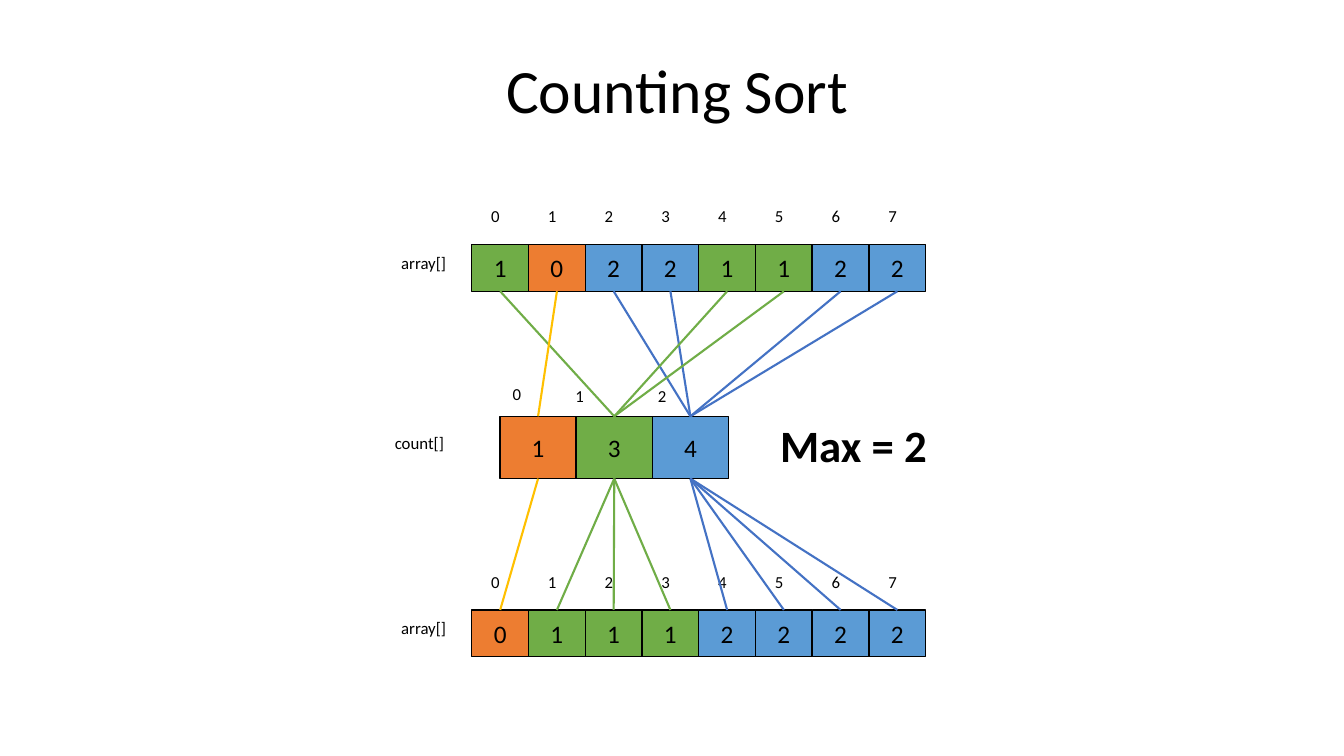
from lxml import etree
from pptx import Presentation
from pptx.dml.color import RGBColor
from pptx.enum import shapes, text
from pptx.oxml import ns
from pptx.util import Cm, Pt

BLACK = RGBColor(0x00, 0x00, 0x00)
ORANGE = RGBColor(0xED, 0x7D, 0x31)
GREEN = RGBColor(0x70, 0xAD, 0x47)
BLUE = RGBColor(0x5B, 0x9B, 0xD5)
GOLD = RGBColor(0xFF, 0xC0, 0x00)
DARK_BLUE = RGBColor(0x44, 0x72, 0xC4)

# Content: each value doubles as its position in the count array
TITLE = "Counting Sort"
MAXIMUM = "Max = 2"
UNSORTED = [1, 0, 2, 2, 1, 1, 2, 2]
COUNTS = [1, 3, 4]
SORTED = [0, 1, 1, 1, 2, 2, 2, 2]
CELL_COLOURS = [ORANGE, GREEN, BLUE]
LINK_COLOURS = [GOLD, GREEN, DARK_BLUE]

# Layout in centimetres
ARRAY_LEFT, ARRAY_PITCH, ARRAY_HEIGHT = 11.89, 1.43, 1.18
UNSORTED_TOP, COUNT_TOP, SORTED_TOP = 6.16, 10.49, 15.37
COUNT_LEFT, COUNT_PITCH, COUNT_HEIGHT = 12.6, 1.92, 1.57
COUNT_INDEX_PLACES = [(12.67, 9.55), (14.25, 9.6), (16.33, 9.6)]

prs = Presentation()
prs.slide_width, prs.slide_height = Cm(33.87), Cm(19.05)
slide = prs.slides.add_slide(prs.slide_layouts[6])


def write(frame, wording, size, align=text.PP_ALIGN.LEFT, bold=False):
    frame.word_wrap = True
    paragraph = frame.paragraphs[0]
    paragraph.alignment = align
    run = paragraph.add_run()
    run.text = str(wording)
    run.font.name = "Calibri"
    run.font.size = Pt(size)
    run.font.bold = bold
    run.font.color.rgb = BLACK
    return paragraph


def add_text(wording, left, top, width, height, size=12, **style):
    box = slide.shapes.add_textbox(Cm(left), Cm(top), Cm(width), Cm(height))
    return box.text_frame, write(box.text_frame, wording, size, **style)


def add_row(numbers, colours, left, top, pitch, height):
    """Draw touching cells and return them for linking."""
    cells = []
    for i, (number, colour) in enumerate(zip(numbers, colours)):
        cell = slide.shapes.add_shape(
            shapes.MSO_SHAPE.RECTANGLE,
            Cm(left + i * pitch), Cm(top), Cm(pitch), Cm(height))
        cell.shadow.inherit = False
        cell.fill.solid()
        cell.fill.fore_color.rgb = colour
        cell.line.color.rgb = BLACK
        cell.line.width = Pt(1)
        cell.text_frame.vertical_anchor = text.MSO_ANCHOR.MIDDLE
        write(cell.text_frame, number, 18, text.PP_ALIGN.CENTER)
        cells.append(cell)
    return cells


def add_array(values, top):
    cells = add_row(values, [CELL_COLOURS[v] for v in values],
                    ARRAY_LEFT, top, ARRAY_PITCH, ARRAY_HEIGHT)
    for i in range(len(values)):
        add_text(i, ARRAY_LEFT + 0.24 + i * ARRAY_PITCH, top - 1.09, 0.97, 1.02)
    add_text("array[]", 9.86, top + 0.08, 2.18, 1.02)
    return cells


def link(upper, lower, colour):
    """Join the bottom of one cell to the top of another."""
    line = slide.shapes.add_connector(shapes.MSO_CONNECTOR.STRAIGHT, 0, 0, 0, 0)
    line.begin_connect(upper, 2)
    line.end_connect(lower, 0)
    line.line.color.rgb = colour
    line.line.width = Pt(1.5)
    etree.SubElement(line._element.spPr, ns.qn("a:effectLst"))


title_frame, title_line = add_text(TITLE, 2.46, 0, 29.21, 4.7, 44,
                                   align=text.PP_ALIGN.CENTER)
title_frame.vertical_anchor = text.MSO_ANCHOR.MIDDLE
title_line.line_spacing = 0.9

unsorted_cells = add_array(UNSORTED, UNSORTED_TOP)
count_cells = add_row(COUNTS, CELL_COLOURS, COUNT_LEFT, COUNT_TOP,
                      COUNT_PITCH, COUNT_HEIGHT)
for i, (left, top) in enumerate(COUNT_INDEX_PLACES):
    add_text(i, left, top, 1.4, 1.02)
add_text("count[]", 9.7, COUNT_TOP + 0.28, 2.7, 1.02)

for value, cell in zip(UNSORTED, unsorted_cells):
    link(cell, count_cells[value], LINK_COLOURS[value])
for value, cell in zip(SORTED, add_array(SORTED, SORTED_TOP)):
    link(count_cells[value], cell, LINK_COLOURS[value])

add_text(MAXIMUM, 19.41, 10.39, 5.28, 1.63, 32, bold=True)

prs.save("out.pptx")
